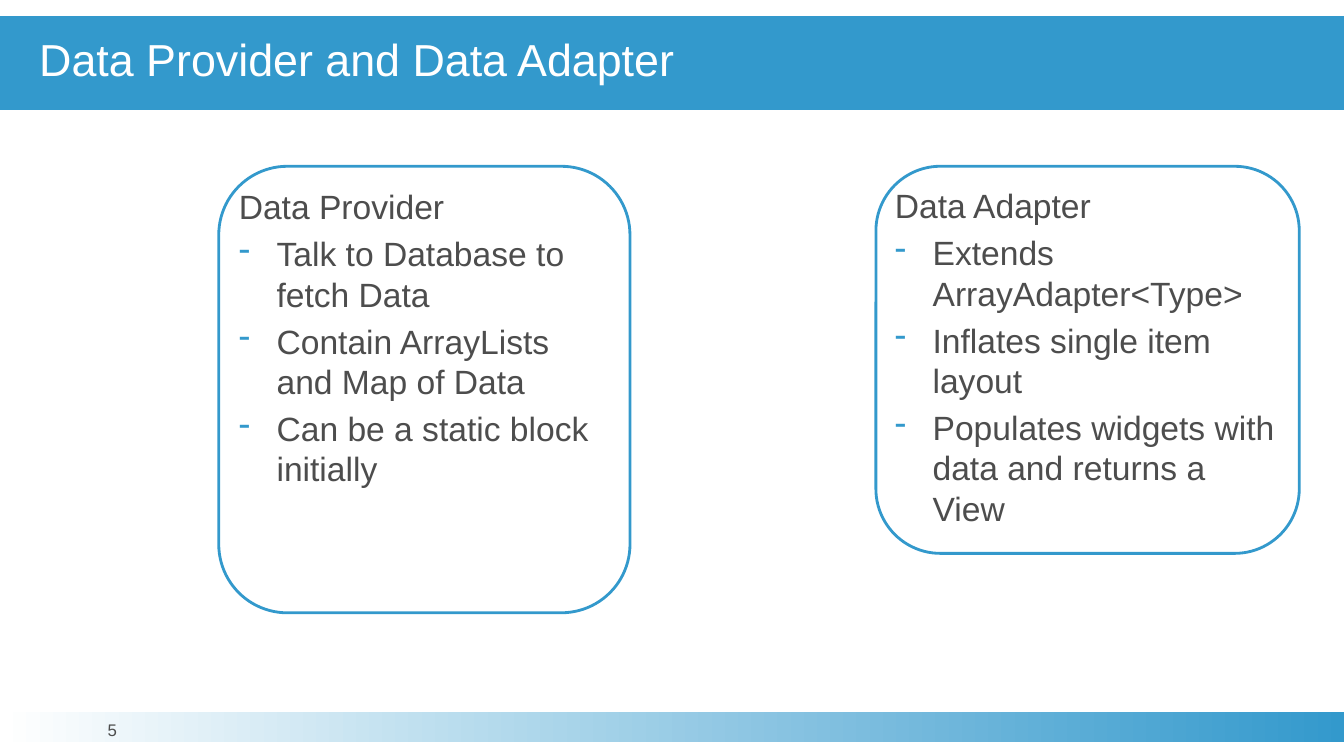
from lxml import etree
from pptx import Presentation
from pptx.dml.color import RGBColor
from pptx.enum.shapes import MSO_SHAPE
from pptx.enum.text import MSO_ANCHOR, MSO_AUTO_SIZE, PP_ALIGN
from pptx.oxml.ns import qn
from pptx.util import Pt

RECTANGLE, ROUNDED = MSO_SHAPE.RECTANGLE, MSO_SHAPE.ROUNDED_RECTANGLE
TOP, MIDDLE = MSO_ANCHOR.TOP, MSO_ANCHOR.MIDDLE
LEFT, CENTER = PP_ALIGN.LEFT, PP_ALIGN.CENTER
NO_AUTOFIT = MSO_AUTO_SIZE.NONE

BLUE, GREY, WHITE = "3399CC", "4D4D4D", "FFFFFF"
PAGE_WIDTH, PAGE_HEIGHT = 960, 540
BULLET_INDENT = 27

CARDS = [
    ((156.24, 118.8, 293.76, 318.96), "Data Provider", [
        "Talk to Database to fetch Data",
        "Contain ArrayLists and Map of Data",
        "Can be a static block initially",
    ]),
    ((625.68, 118.8, 302.4, 276.48), "Data Adapter", [
        "Extends ArrayAdapter<Type>",
        "Inflates single item layout",
        "Populates widgets with data and returns a View",
    ]),
]


def color(hex_value):
    return RGBColor.from_string(hex_value)


def points(box):
    return [Pt(length) for length in box]


def set_frame(frame, anchor):
    """Give a text frame zero margins, wrapping and a fixed size."""
    formats = {"margin_left": 0, "margin_top": 0, "margin_right": 0,
               "margin_bottom": 0, "word_wrap": True,
               "auto_size": NO_AUTOFIT, "vertical_anchor": anchor}
    for name, value in formats.items():
        setattr(frame, name, value)


def write(para, text, size, text_color, **formats):
    """Put one span in a paragraph; formats are paragraph attributes."""
    span = para.add_run()
    span.text = text
    span.font.name, span.font.size = "Arial", Pt(size)
    span.font.color.rgb = color(text_color)
    for name, value in formats.items():
        setattr(para, name, value)


def add_dash(para):
    """Give a paragraph a blue dash with a hanging indent."""
    properties = para._p.get_or_add_pPr()
    properties.set("marL", str(Pt(BULLET_INDENT)))
    properties.set("indent", str(Pt(-BULLET_INDENT)))
    dash_color = etree.SubElement(properties, qn("a:buClr"))
    etree.SubElement(dash_color, qn("a:srgbClr"), val=BLUE)
    etree.SubElement(properties, qn("a:buChar"), char="-")


def add_footer_band(page, box):
    band = page.shapes.add_shape(RECTANGLE, *points(box))
    band.shadow.inherit = False
    band.line.fill.background()
    band.fill.gradient()
    band.fill.gradient_angle = 0
    for stop, position, stop_color in zip(
            band.fill.gradient_stops, (0, 1), (WHITE, BLUE)):
        stop.position = position
        stop.color.rgb = color(stop_color)


def add_title(page, box, text):
    title = page.shapes.title
    title.left, title.top, title.width, title.height = points(box)
    title.fill.solid()
    title.fill.fore_color.rgb = color(BLUE)
    set_frame(title.text_frame, MIDDLE)
    para = title.text_frame.paragraphs[0]
    write(para, text, 32, WHITE, alignment=LEFT, line_spacing=0.85)
    para._p.get_or_add_pPr().set("marL", str(Pt(28)))


def add_page_number(page, box, text):
    number = page.shapes.add_textbox(*points(box))
    set_frame(number.text_frame, TOP)
    write(number.text_frame.paragraphs[0], text, 12, GREY,
          alignment=CENTER, line_spacing=Pt(13))


def add_card(page, box, heading, items):
    card = page.shapes.add_shape(ROUNDED, *points(box))
    card.shadow.inherit = False
    card.fill.solid()
    card.fill.fore_color.rgb = color(WHITE)
    card.line.color.rgb = color(BLUE)
    card.line.width = Pt(2)
    frame = card.text_frame
    set_frame(frame, TOP)
    formats = {"alignment": LEFT, "space_before": Pt(4.8)}
    write(frame.paragraphs[0], heading, 24, GREY, **formats)
    for item in items:
        para = frame.add_paragraph()
        write(para, item, 24, GREY, **formats)
        add_dash(para)


def main():
    deck = Presentation()
    deck.slide_width, deck.slide_height = Pt(PAGE_WIDTH), Pt(PAGE_HEIGHT)
    page = deck.slides.add_slide(deck.slide_layouts.get_by_name("Title Only"))
    add_footer_band(page, (0, 508.32, PAGE_WIDTH, 21.6))
    add_title(page, (0, 11.52, PAGE_WIDTH, 66.96),
              "Data Provider and Data Adapter")
    add_page_number(page, (29.52, 515.52, 101.52, 22.32), "5")
    for box, heading, items in CARDS:
        add_card(page, box, heading, items)
    deck.save("out.pptx")


if __name__ == "__main__":
    main()
